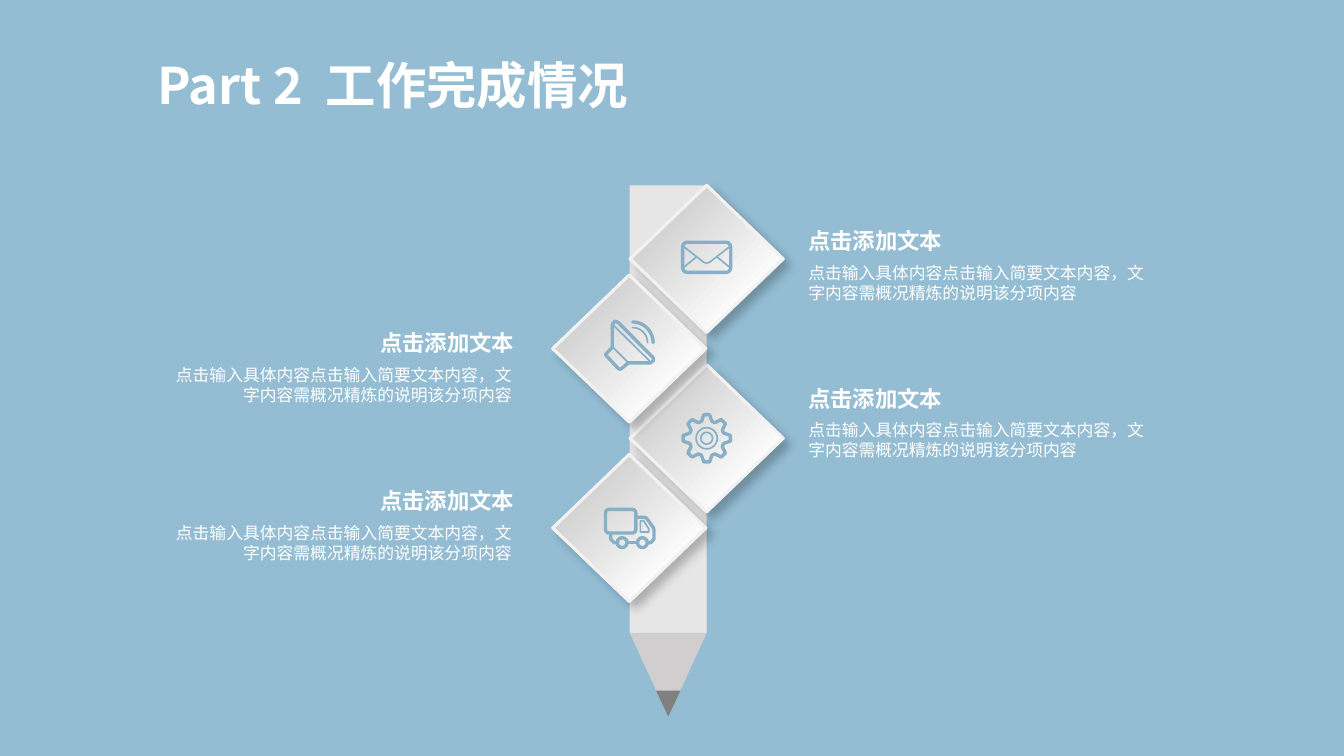
"""Build the work progress slide: a pencil with four icon tiles and captions."""
from dataclasses import dataclass
from math import cos, radians, sin

from lxml import etree
from pptx import Presentation
from pptx.dml.color import RGBColor
from pptx.enum.shapes import MSO_CONNECTOR, MSO_SHAPE
from pptx.enum.text import MSO_ANCHOR, PP_ALIGN
from pptx.oxml import parse_xml
from pptx.oxml.ns import nsdecls, qn
from pptx.util import Cm, Pt

RECT, ROUND = MSO_SHAPE.RECTANGLE, MSO_SHAPE.ROUNDED_RECTANGLE
OVAL, DIAMOND = MSO_SHAPE.OVAL, MSO_SHAPE.DIAMOND
TRIANGLE, STRAIGHT = MSO_SHAPE.ISOSCELES_TRIANGLE, MSO_CONNECTOR.STRAIGHT
LEFT, RIGHT, TOP = PP_ALIGN.LEFT, PP_ALIGN.RIGHT, MSO_ANCHOR.TOP

FONT, WHITE, INK = "Noto Sans CJK SC", "FFFFFF", "87B0C7"
HEAD = "点击添加文本"
BODY = "点击输入具体内容点击输入简要文本内容，文字内容需概况精炼的说明该分项内容"
THICK, THIN = 2.4, 1.2
TILE_W, TILE_H, TILE_TOP, STEP = 3.86, 3.71, 4.67, 2.26
SIDES = {LEFT: 17.81, RIGHT: 15.86}

Points = list[tuple[float, float]]


@dataclass
class Part:
    """A solid pencil part, in cm."""
    kind: int
    x: float
    y: float
    w: float
    h: float
    color: str
    turn: int = 0


@dataclass
class Stroke:
    """An icon line, in mm from the tile centre."""
    points: Points
    width: float = THICK
    closed: bool = False


@dataclass
class Ring:
    """An outlined preset icon shape, in mm from the tile centre."""
    kind: int
    x: float
    y: float
    w: float
    h: float
    width: float = THICK


@dataclass
class Tile:
    """A diamond with an icon and a caption beside it."""
    row: int
    side: int
    note_y: float
    icon: list[Stroke | Ring]


def arc(x: float, y: float, r: float, start: int, end: int) -> Points:
    """Return points along a circular arc."""
    return [(x + r * cos(radians(a)), y + r * sin(radians(a)))
            for a in range(start, end + 1, 6)]


def disc(x: float, y: float, r: float, width: float = THICK) -> Ring:
    """Return a circle around a centre."""
    return Ring(OVAL, x - r, y - r, 2 * r, 2 * r, width)


COG = [(r * cos(radians(45 * k + a)), r * sin(radians(45 * k + a)))
       for k in range(8) for r, a in ((4.45, -17), (6, -7), (6, 7), (4.45, 17))]
MAIL = [Ring(ROUND, -6.05, -4.2, 12.1, 7.6),
        Stroke([(-5.8, -3.1), (-0.8, 0.8), (0, 1.1), (0.8, 0.8), (5.8, -3.1)], THIN),
        *[Stroke([(s * 5.8, 2.1), (s * 2.6, -0.5)], THIN) for s in (-1, 1)]]
HORN = [Stroke([(-4.3, -6.1), (-3.6, -6.9), (-2.8, -6.6), (6, 2.3), (6.1, 3),
                (5.3, 3.6), (-0.3, 3.6), (-1.9, 5), (-2.3, 5.2), (-2.8, 5),
                (-5.6, 2), (-6, 1.5), (-5.6, 1), (-4.3, -0.3)], closed=True),
        Stroke([(-3.8, -5.7), (5, 3)], THIN),
        Stroke([(-4.1, -0.3), (-0.5, 3.3)], THIN),
        Stroke(arc(0.8, -1.5, 3.8, -90, 0), THIN),
        Stroke(arc(0.8, -1.5, 5.2, -90, 0))]
GEAR = [Stroke(COG, closed=True), disc(0, 0, 2.67, THIN), disc(0, 0, 1.5, THIN)]
TRUCK = [Ring(ROUND, -6, -4.7, 7.65, 5.97),
         Stroke([(1.65, -2.7), (3.8, -2.7), (4.4, -2.4), (6.1, 0), (6.2, 0.5),
                 (6.2, 2.8), (5.4, 3.7), (4.6, 3.7)]),
         Stroke([(-0.6, 3.7), (2.1, 3.7)]),
         Stroke([(-2.9, 3.7), (-3.8, 3.7), (-4.7, 2.8), (-4.7, 1.27)]),
         Stroke([(2.8, -1.8), (3.6, -1.8), (4.9, 0.2), (4.9, 1), (2.8, 1)], THIN, True),
         disc(-1.8, 3.7, 1.25), disc(3.3, 3.7, 1.25)]

PENCIL = [Part(RECT, 15.87, 4.67, 1.94, 11.28, "E7E6E6"),
          Part(TRIANGLE, 15.87, 15.95, 1.94, 2.11, "D0CECE", 180),
          Part(TRIANGLE, 16.53, 17.4, 0.62, 0.66, "808080", 180)]
TILES = [Tile(3, RIGHT, 12.16, TRUCK), Tile(0, LEFT, 5.61, MAIL),
         Tile(2, LEFT, 9.58, GEAR), Tile(1, RIGHT, 8.18, HORN)]


def tint(text: str) -> RGBColor:
    """Turn a hex string into a colour."""
    return RGBColor.from_string(text)


def pen(shape, color: str, width: float) -> None:
    """Give a shape a line with round joins."""
    shape.line.color.rgb = tint(color)
    shape.line.width = Pt(width)


def smooth(shape) -> None:
    """Round the ends and corners of a line."""
    line = shape.line._get_or_add_ln()
    line.set("cap", "rnd")
    etree.SubElement(line, qn("a:round"))


def draw_part(slide, part: Part) -> None:
    """Draw one solid pencil part."""
    shape = slide.shapes.add_shape(part.kind, Cm(part.x), Cm(part.y), Cm(part.w), Cm(part.h))
    shape.shadow.inherit = False
    shape.rotation = part.turn
    shape.fill.solid()
    shape.fill.fore_color.rgb = tint(part.color)
    shape.line.fill.background()


def draw_mark(slide, mark: Stroke | Ring, x: float, y: float) -> None:
    """Draw one icon line or outline around a tile centre."""
    if isinstance(mark, Ring):
        shape = slide.shapes.add_shape(mark.kind, Cm(x + mark.x / 10), Cm(y + mark.y / 10),
                                       Cm(mark.w / 10), Cm(mark.h / 10))
        if mark.kind == ROUND:
            shape.adjustments[0] = 0.15
    else:
        spots = [(Cm(x + a / 10), Cm(y + b / 10)) for a, b in mark.points]
        if len(spots) == 2:
            shape = slide.shapes.add_connector(STRAIGHT, *spots[0], *spots[1])
            etree.SubElement(shape._element.spPr, qn("a:effectLst"))
        else:
            path = slide.shapes.build_freeform(*spots[0])
            path.add_line_segments(spots[1:], close=mark.closed)
            shape = path.convert_to_shape()
    pen(shape, INK, mark.width)
    smooth(shape)
    if hasattr(shape, "fill"):
        shape.fill.background()
        shape.shadow.inherit = False


def draw_tile(slide, tile: Tile) -> None:
    """Draw a shaded diamond and its icon."""
    x, top = SIDES[tile.side], TILE_TOP + tile.row * STEP
    shape = slide.shapes.add_shape(DIAMOND, Cm(x - TILE_W / 2), Cm(top), Cm(TILE_W), Cm(TILE_H))
    shape.fill.gradient()
    shape.fill.gradient_angle = 315
    for stop, (color, place) in zip(shape.fill.gradient_stops, (("BFBFBF", 0), (WHITE, 0.8))):
        stop.color.rgb = tint(color)
        stop.position = place
    pen(shape, "F2F2F2", 2.25)
    shape._element.spPr.append(parse_xml(
        f'<a:effectLst {nsdecls("a")}><a:outerShdw blurRad="{Pt(7)}" dist="{Pt(5.9)}" '
        'dir="2700000" algn="tl" rotWithShape="0"><a:srgbClr val="000000">'
        '<a:alpha val="23000"/></a:srgbClr></a:outerShdw></a:effectLst>'))
    for mark in tile.icon:
        draw_mark(slide, mark, x, top + TILE_H / 2)


def write(slide, text: str, x: float, y: float, w: float, h: float, size: int,
          bold: bool = False, align: int = LEFT) -> None:
    """Add a white text box; bold lines stay unwrapped."""
    frame = slide.shapes.add_textbox(Cm(x), Cm(y), Cm(w), Cm(h)).text_frame
    frame.word_wrap = not bold
    frame.vertical_anchor = TOP
    line = frame.paragraphs[0]
    line.alignment = align
    run = line.add_run()
    run.text = text
    run.font.name, run.font.size, run.font.bold = FONT, Pt(size), bold
    run.font.color.rgb = tint(WHITE)
    etree.SubElement(run.font._element, qn("a:ea")).set("typeface", FONT)


def main() -> None:
    """Build and save the slide."""
    deck = Presentation()
    deck.slide_width, deck.slide_height = Cm(33.87), Cm(19.05)
    slide = deck.slides.add_slide(deck.slide_layouts[6])
    slide.background.fill.solid()
    slide.background.fill.fore_color.rgb = tint("94BDD4")
    for part in PENCIL:
        draw_part(slide, part)
    for tile in TILES:
        draw_tile(slide, tile)
    for tile in TILES:
        head_x, body_x = (20.12, 20.12) if tile.side == LEFT else (9.27, 4.01)
        write(slide, HEAD, head_x, tile.note_y, 3.94, 0.94, 16, True, tile.side)
        write(slide, BODY, body_x, tile.note_y + 0.88, 9.14, 1.27, 12, False, tile.side)
    write(slide, "Part 2  工作完成情况", 3.71, 1.24, 12.42, 1.8, 36, True)
    deck.save("out.pptx")


if __name__ == "__main__":
    main()
